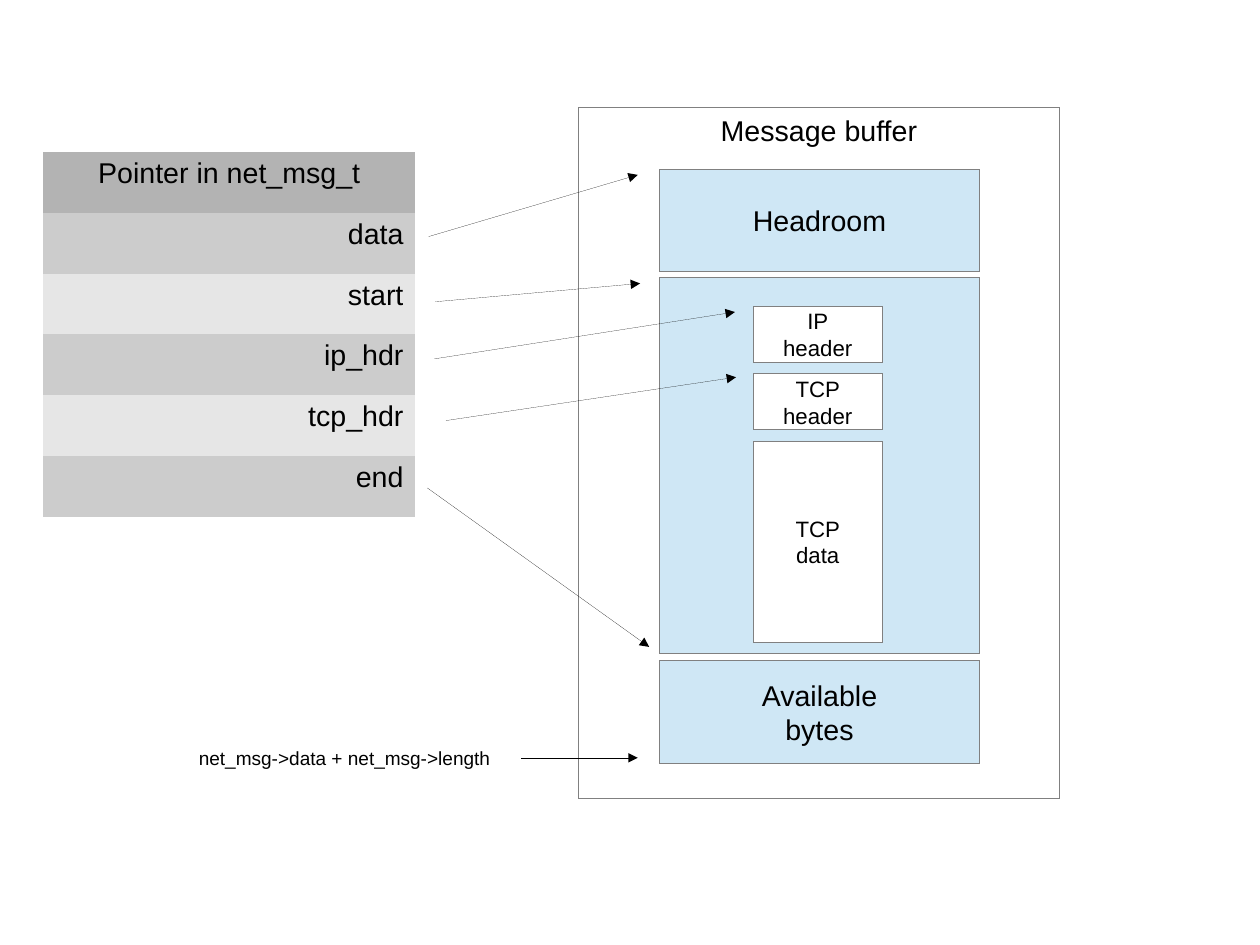
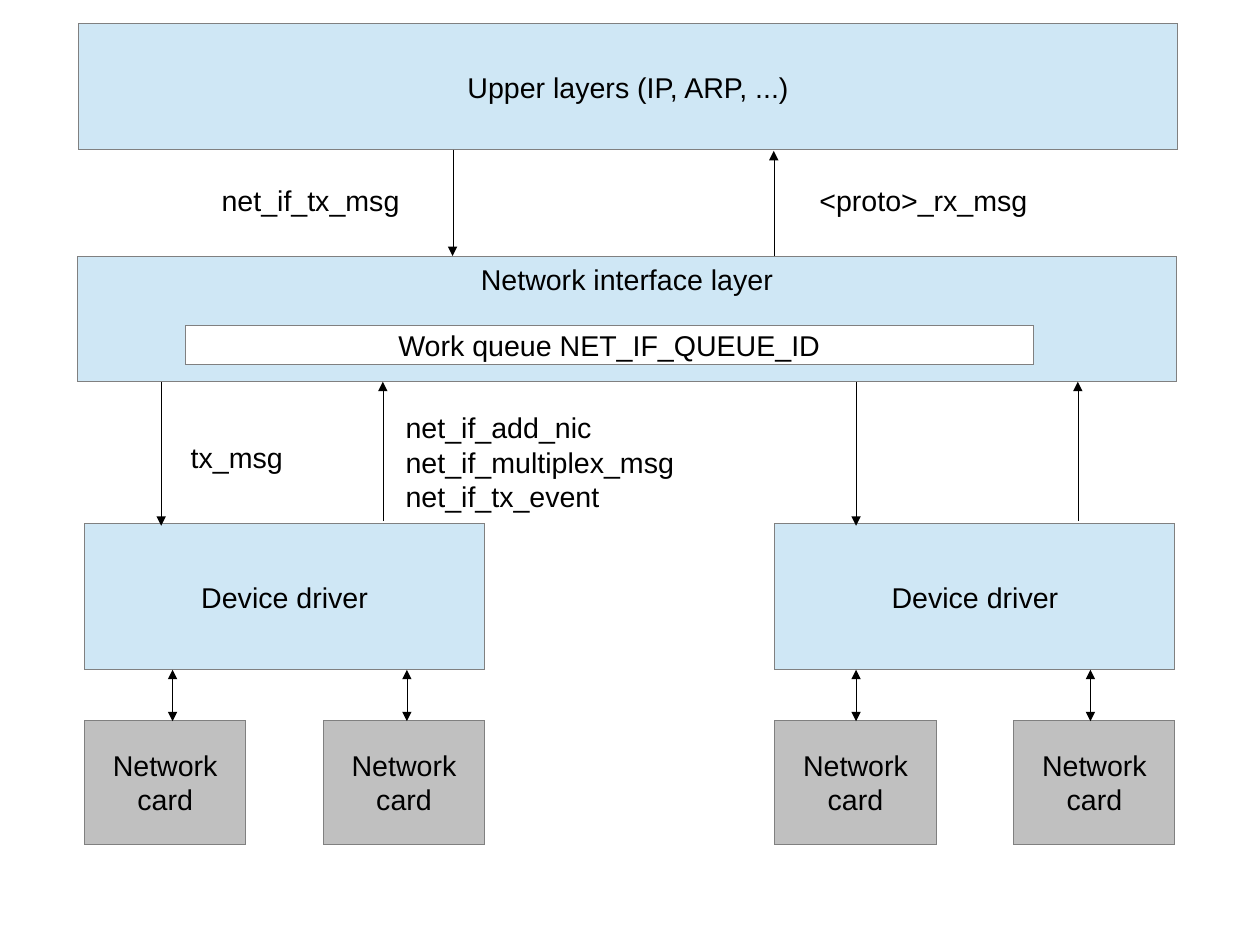
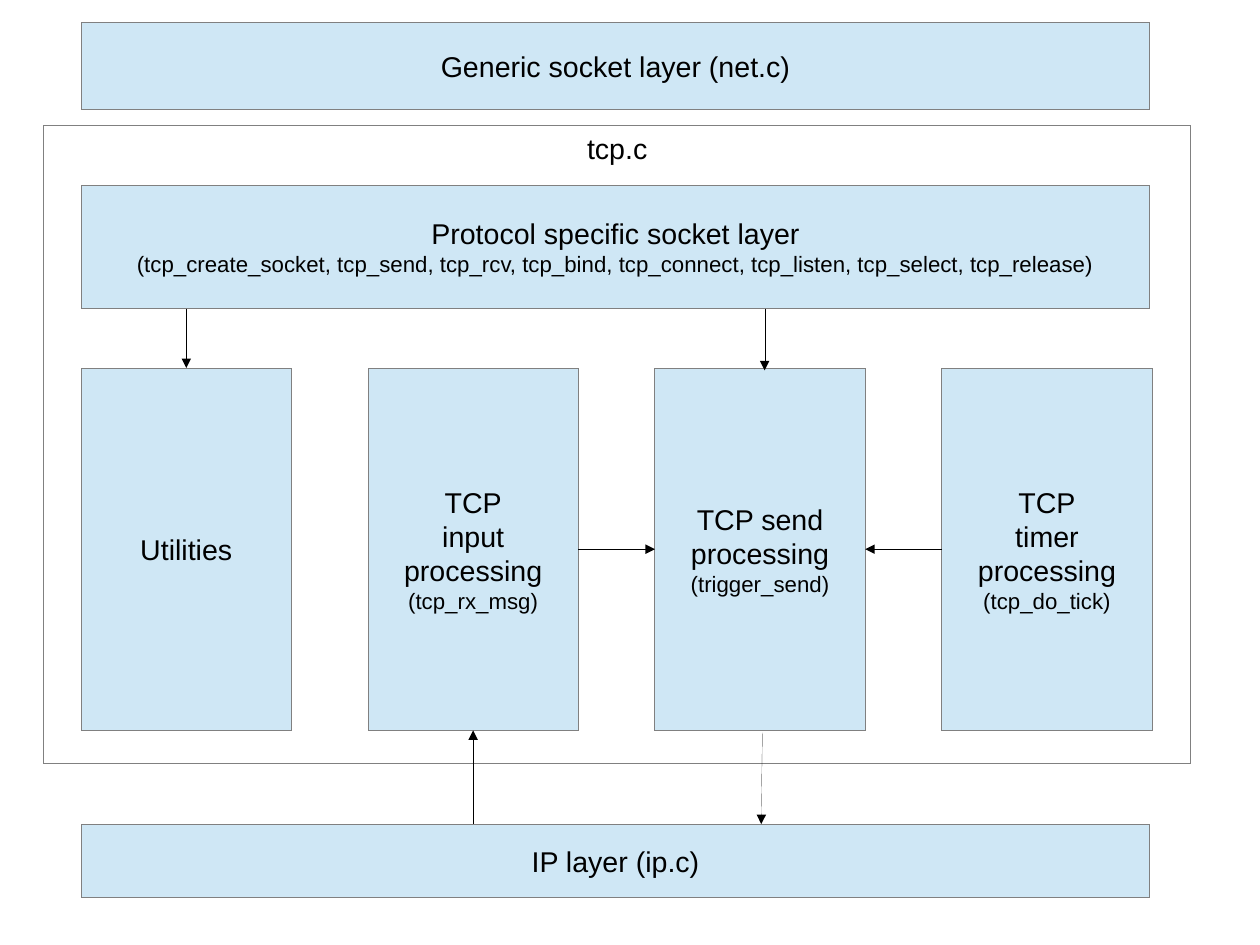
from pptx import Presentation
from pptx.dml.color import RGBColor
from pptx.enum.shapes import MSO_CONNECTOR as Link, MSO_SHAPE as Preset
from pptx.enum.text import MSO_ANCHOR as Anchor, PP_ALIGN as Align
from pptx.oxml.ns import qn
from pptx.util import Inches, Pt
from lxml.etree import SubElement

COLORS = {
    "text": "000000",
    "outline": "808080",
    "layer": "CFE7F5",
    "card": "C0C0C0",
    "white": "FFFFFF",
    "table_head": "B3B3B3",
    "row_dark": "CCCCCC",
    "row_light": "E6E6E6",
}
FONT = "Arial"
BODY, SMALL, NOTE = 18, 14, 12
TOP, LEFT, BOTTOM, RIGHT = range(4)
CM_PER_INCH = 2.54
PLAIN_TABLE = "{2D5ABB26-0587-4C30-8999-92F81FD0307C}"


def color(name):
    return RGBColor.from_string(COLORS[name])


def style_para(para, text, size, align):
    para.text = text
    para.alignment = align
    para.font.name = FONT
    para.font.size = Pt(size)
    para.font.color.rgb = color("text")


def write_text(frame, text, size=BODY, align=Align.CENTER, detail=""):
    for index, line in enumerate(text.split("\n")):
        para = frame.add_paragraph() if index else frame.paragraphs[0]
        style_para(para, line, size, align)
    if detail:
        para.add_line_break()
        span = para.add_run()
        span.text = detail
        span.font.size = Pt(SMALL)


def set_hairline(shape, name):
    shape.line.color.rgb = color(name)
    outline = shape.element.spPr.find(qn("a:ln"))
    outline.set("w", "0")
    return outline


def add_box(page, left, top, width, height, text="", fill="layer", size=BODY,
            anchor=Anchor.MIDDLE, detail=""):
    box = page.shapes.add_shape(Preset.RECTANGLE, Inches(left), Inches(top),
                                Inches(width), Inches(height))
    box.shadow.inherit = False
    if fill:
        box.fill.solid()
        box.fill.fore_color.rgb = color(fill)
    else:
        box.fill.background()
    set_hairline(box, "outline")
    if text:
        box.text_frame.word_wrap = False
        box.text_frame.vertical_anchor = anchor
        write_text(box.text_frame, text, size, detail=detail)
    return box


def add_label(page, left, top, width, height, text, size=BODY, align=Align.LEFT):
    label = page.shapes.add_textbox(Inches(left), Inches(top),
                                    Inches(width), Inches(height))
    label.text_frame.word_wrap = True
    write_text(label.text_frame, text, size, align)


def add_arrow(page, start, end, both_ends=False):
    arrow = page.shapes.add_connector(Link.STRAIGHT, *map(Inches, start + end))
    outline = set_hairline(arrow, "text")
    for tag in ["a:headEnd", "a:tailEnd"] if both_ends else ["a:tailEnd"]:
        SubElement(outline, qn(tag), type="triangle")
    SubElement(arrow.element.spPr, qn("a:effectLst"))
    return arrow


def pointer_table(page, left, top):
    names = ["Pointer in net_msg_t", "data", "start", "ip_hdr", "tcp_hdr", "end"]
    frame = page.shapes.add_table(len(names), 1, Inches(left), Inches(top),
                                  Inches(3.25), Inches(3.19))
    for style in frame.element.iter(qn("a:tableStyleId")):
        style.text = PLAIN_TABLE
    table = frame.table
    table.first_row = table.horz_banding = False
    for index, name in enumerate(names):
        cell = table.cell(index, 0)
        cell.fill.solid()
        if index == 0:
            fill, align = "table_head", Align.CENTER
        else:
            fill, align = "row_dark" if index % 2 else "row_light", Align.RIGHT
        cell.fill.fore_color.rgb = color(fill)
        style_para(cell.text_frame.paragraphs[0], name, BODY, align)


def message_buffer(page, left, top):
    add_box(page, left, top, 4.21, 6.05, "Message buffer", None, anchor=Anchor.TOP)
    for offset, height, text in [(0.54, 0.9, "Headroom"), (1.49, 3.29, ""),
                                 (4.84, 0.9, "Available\nbytes")]:
        add_box(page, left + 0.71, top + offset, 2.8, height, text)
    for offset, height, text in [(1.74, 0.49, "IP\vheader"), (2.33, 0.49, "TCP\vheader"),
                                 (2.92, 1.76, "TCP\vdata")]:
        add_box(page, left + 1.53, top + offset, 1.13, height, text, "white", SMALL)


def buffer_slide(page):
    pointer_table(page, 0.38, 1.33)
    message_buffer(page, 5.06, 0.94)
    add_label(page, 1.47, 6.48, 2.92, 0.29, "net_msg->data + net_msg->length",
              NOTE, Align.RIGHT)
    for start, end in [
        ((3.75, 2.07), (5.58, 1.53)),
        ((3.81, 2.64), (5.6, 2.48)),
        ((3.8, 3.14), (6.43, 2.73)),
        ((3.9, 3.68), (6.44, 3.3)),
        ((3.74, 4.27), (5.68, 5.66)),
        ((4.56, 6.63), (5.58, 6.63)),
    ]:
        add_arrow(page, start, end)


def driver_stack(page, left, top, send_x, card_link_x):
    width, card_width = 3.5, 1.41
    add_box(page, left, top, width, 1.28, "Device driver")
    for card_left in (left, left + width - card_width):
        add_box(page, card_left, top + 1.72, card_width, 1.09, "Network\ncard", "card")
    for x in (card_link_x, card_link_x + 2.05):
        add_arrow(page, (x, top + 1.28), (x, top + 1.73), both_ends=True)
    receive_x = send_x + 1.94
    add_arrow(page, (send_x, top - 1.24), (send_x, top + 0.02))
    add_arrow(page, (receive_x, top - 0.02), (receive_x, top - 1.24))


def interface_layer(page, left, top):
    add_box(page, left, top, 9.61, 1.1, "Network interface layer", anchor=Anchor.TOP)
    add_box(page, left + 0.94, top + 0.61, 7.42, 0.34,
            "Work queue NET_IF_QUEUE_ID", "white")


def interface_slide(page):
    add_box(page, 0.69, 0.21, 9.61, 1.1, "Upper layers (IP, ARP, ...)")
    interface_layer(page, 0.68, 2.24)
    driver_stack(page, 0.74, 4.58, 1.41, 1.51)
    driver_stack(page, 6.78, 4.58, 7.49, 7.49)
    add_arrow(page, (3.96, 1.31), (3.96, 2.24))
    add_arrow(page, (6.77, 2.24), (6.77, 1.32))
    for left, top, height, text in [
        (1.84, 1.55, 0.38, "net_if_tx_msg"),
        (7.07, 1.55, 0.38, "<proto>_rx_msg"),
        (1.57, 3.8, 0.38, "tx_msg"),
        (3.45, 3.54, 0.94, "net_if_add_nic\nnet_if_multiplex_msg\vnet_if_tx_event"),
    ]:
        add_label(page, left, top, 3.39, height, text)


def tcp_module(page, left, top):
    add_box(page, left, top, 10.04, 5.58, "tcp.c", "white", anchor=Anchor.TOP)
    add_box(page, left + 0.33, top + 0.52, 9.35, 1.08, "Protocol specific socket layer",
            detail="(tcp_create_socket, tcp_send, tcp_rcv, tcp_bind, tcp_connect, "
                   "tcp_listen, tcp_select, tcp_release)")
    parts = [
        ("Utilities", ""),
        ("TCP\vinput\vprocessing", "(tcp_rx_msg)"),
        ("TCP send\vprocessing", "(trigger_send)"),
        ("TCP\vtimer\vprocessing", "(tcp_do_tick)"),
    ]
    boxes = [add_box(page, left + 0.33 + 2.51 * index, top + 2.12, 1.84, 3.17,
                     text, detail=detail)
             for index, (text, detail) in enumerate(parts)]
    utilities, receiver, sender, timer = boxes

    utilities_x = left + 1.25
    call = add_arrow(page, (utilities_x, top + 1.6), (utilities_x, top + 2.12))
    call.end_connect(utilities, TOP)
    add_arrow(page, (left + 6.31, top + 1.6), (left + 6.31, top + 2.14))
    for source, source_side, target_side in [(receiver, RIGHT, LEFT), (timer, LEFT, RIGHT)]:
        trigger = add_arrow(page, (left, top), (left, top))
        trigger.begin_connect(source, source_side)
        trigger.end_connect(sender, target_side)
    return receiver


def tcp_slide(page):
    add_box(page, 0.71, 0.2, 9.35, 0.76, "Generic socket layer (net.c)")
    receiver = tcp_module(page, 0.38, 1.1)
    add_box(page, 0.71, 7.21, 9.35, 0.64, "IP layer (ip.c)")
    incoming = add_arrow(page, (4.14, 7.21), (4.14, 6.39))
    incoming.end_connect(receiver, BOTTOM)
    add_arrow(page, (6.67, 6.41), (6.66, 7.21))


def main():
    deck = Presentation()
    deck.slide_width = Inches(28 / CM_PER_INCH)
    deck.slide_height = Inches(21 / CM_PER_INCH)
    for build in (buffer_slide, interface_slide, tcp_slide):
        build(deck.slides.add_slide(deck.slide_layouts[6]))
    deck.save("out.pptx")


if __name__ == "__main__":
    main()
